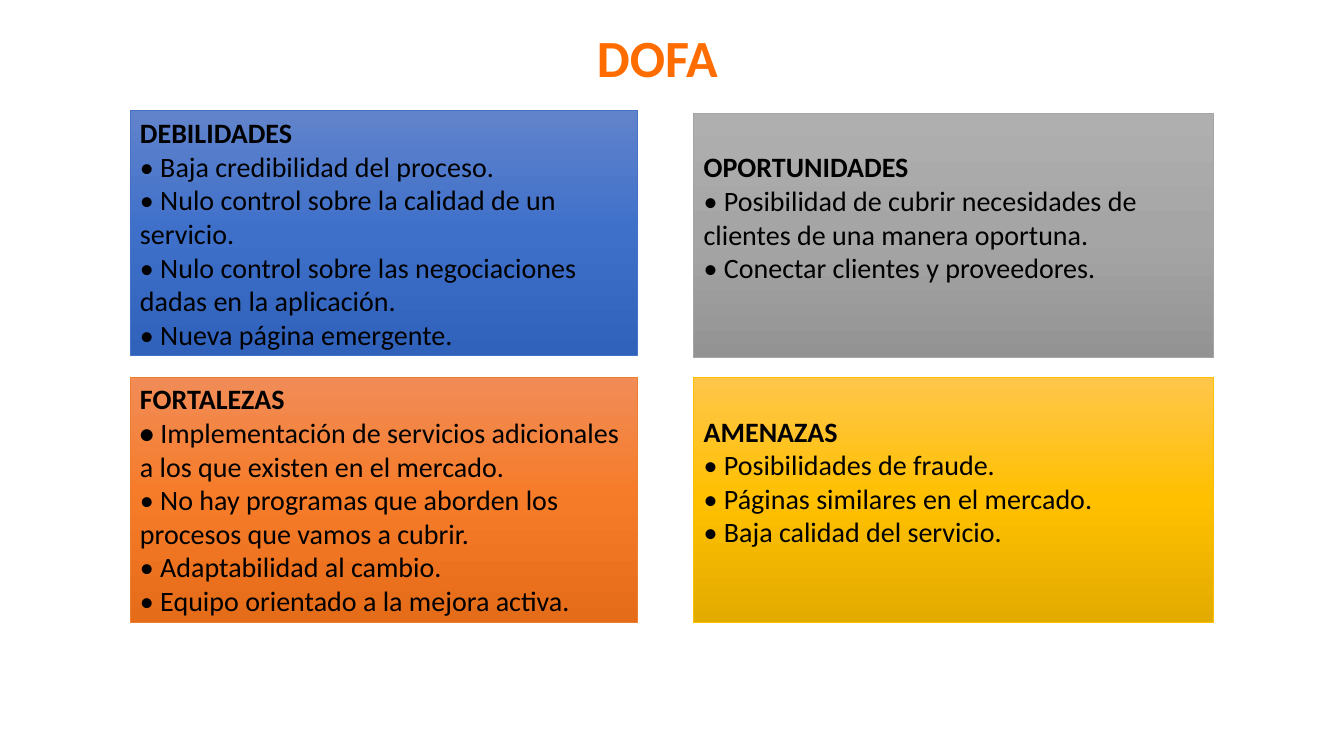
from copy import deepcopy

from pptx import Presentation
from pptx.dml.color import RGBColor
from pptx.enum.shapes import MSO_SHAPE
from pptx.enum.text import MSO_ANCHOR, MSO_AUTO_SIZE, PP_ALIGN
from pptx.oxml.ns import qn
from pptx.util import Inches, Pt

FONT = "Calibri"
BLACK = RGBColor(0x00, 0x00, 0x00)
TITLE_ORANGE = RGBColor(0xFF, 0x6C, 0x00)
BLUE_LINE = RGBColor(0x44, 0x72, 0xC4)
BLUES = [RGBColor(0x61, 0x83, 0xCB), RGBColor(0x3E, 0x70, 0xCA), RGBColor(0x30, 0x62, 0xBB)]
ORANGE_LINE = RGBColor(0xED, 0x7D, 0x31)
ORANGES = [RGBColor(0xF1, 0x8C, 0x57), RGBColor(0xF6, 0x7B, 0x28), RGBColor(0xE5, 0x6C, 0x19)]
GRAY_LINE = RGBColor(0xA5, 0xA5, 0xA5)
GRAYS = [RGBColor(0xAF, 0xAF, 0xAF), GRAY_LINE, RGBColor(0x93, 0x93, 0x93)]
YELLOW_LINE = RGBColor(0xFF, 0xC0, 0x00)
YELLOWS = [RGBColor(0xFF, 0xC6, 0x4B), YELLOW_LINE, RGBColor(0xE3, 0xAB, 0x00)]

LEFT_COLUMN = (1.29, 5.03)
RIGHT_COLUMN = (6.88, 5.15)
ROW_HEIGHT = 2.43
BOTTOM_ROW = 3.74
PLAIN_INSET = 0.05
RAISED_INSET = 0.41

QUADRANTS = [
    (LEFT_COLUMN, 1.1, PLAIN_INSET, BLUES, BLUE_LINE, "DEBILIDADES", False, [
        "Baja credibilidad del proceso.",
        "Nulo control sobre la calidad de un servicio.",
        "Nulo control sobre las negociaciones dadas en la aplicación.",
        "Nueva página emergente.",
    ]),
    (LEFT_COLUMN, BOTTOM_ROW, PLAIN_INSET, ORANGES, ORANGE_LINE, "FORTALEZAS", True, [
        "Implementación de servicios adicionales a los que existen en el mercado.",
        "No hay programas que aborden los procesos que vamos a cubrir.",
        "Adaptabilidad al cambio.",
        "Equipo orientado a la mejora activa.",
    ]),
    (RIGHT_COLUMN, BOTTOM_ROW, RAISED_INSET, YELLOWS, YELLOW_LINE, "AMENAZAS", False, [
        "Posibilidades de fraude.",
        "Páginas similares en el mercado.",
        "Baja calidad del servicio.",
    ]),
    (RIGHT_COLUMN, 1.12, RAISED_INSET, GRAYS, GRAY_LINE, "OPORTUNIDADES", False, [
        "Posibilidad de cubrir necesidades de clientes de una manera oportuna.",
        "Conectar clientes y proveedores.",
    ]),
]


def add_text(para, text, size=20, color=BLACK, bold=False, align=PP_ALIGN.LEFT):
    para.alignment = align
    span = para.add_run()
    span.text = text
    span.font.name = FONT
    span.font.size = Pt(size)
    span.font.bold = bold
    span.font.color.rgb = color


def fill_gradient(box, colors):
    box.fill.gradient()
    box.fill.gradient_angle = 270
    stop_list = box._element.spPr.find(".//" + qn("a:gsLst"))
    stop_list.append(deepcopy(stop_list[-1]))
    for index, (stop, color) in enumerate(zip(box.fill.gradient_stops, colors)):
        stop.position = index / (len(colors) - 1)
        stop.color.rgb = color


def place_title(page, left, top, width, height):
    title = page.shapes.title
    title.left, title.top = Inches(left), Inches(top)
    title.width, title.height = Inches(width), Inches(height)
    frame = title.text_frame
    frame.word_wrap = True
    frame.auto_size = MSO_AUTO_SIZE.SHAPE_TO_FIT_TEXT
    frame.vertical_anchor = MSO_ANCHOR.TOP
    add_text(frame.paragraphs[0], "DOFA", size=37.3, color=TITLE_ORANGE, bold=True,
             align=PP_ALIGN.CENTER)


def place_quadrant(page, column, top, bottom_inset, colors, line_color, heading,
                   bold_first_bullet, points):
    left, width = column
    box = page.shapes.add_shape(MSO_SHAPE.RECTANGLE, Inches(left), Inches(top),
                                Inches(width), Inches(ROW_HEIGHT))
    box.shadow.inherit = False
    fill_gradient(box, colors)
    box.line.color.rgb = line_color
    box.line.width = Pt(0.5)
    frame = box.text_frame
    frame.word_wrap = True
    frame.vertical_anchor = MSO_ANCHOR.MIDDLE
    frame.margin_bottom = Inches(bottom_inset)
    add_text(frame.paragraphs[0], heading, bold=True)
    for index, point in enumerate(points):
        para = frame.add_paragraph()
        if bold_first_bullet and index == 0:
            add_text(para, "• ", bold=True)
            add_text(para, point)
        else:
            add_text(para, "• " + point)


def main():
    deck = Presentation()
    deck.slide_width, deck.slide_height = Inches(13.33), Inches(7.5)
    page = deck.slides.add_slide(deck.slide_layouts[5])
    place_title(page, 3.13, 0.2, 6.78, 0.73)
    for quadrant in QUADRANTS:
        place_quadrant(page, *quadrant)
    deck.save("out.pptx")


if __name__ == "__main__":
    main()
